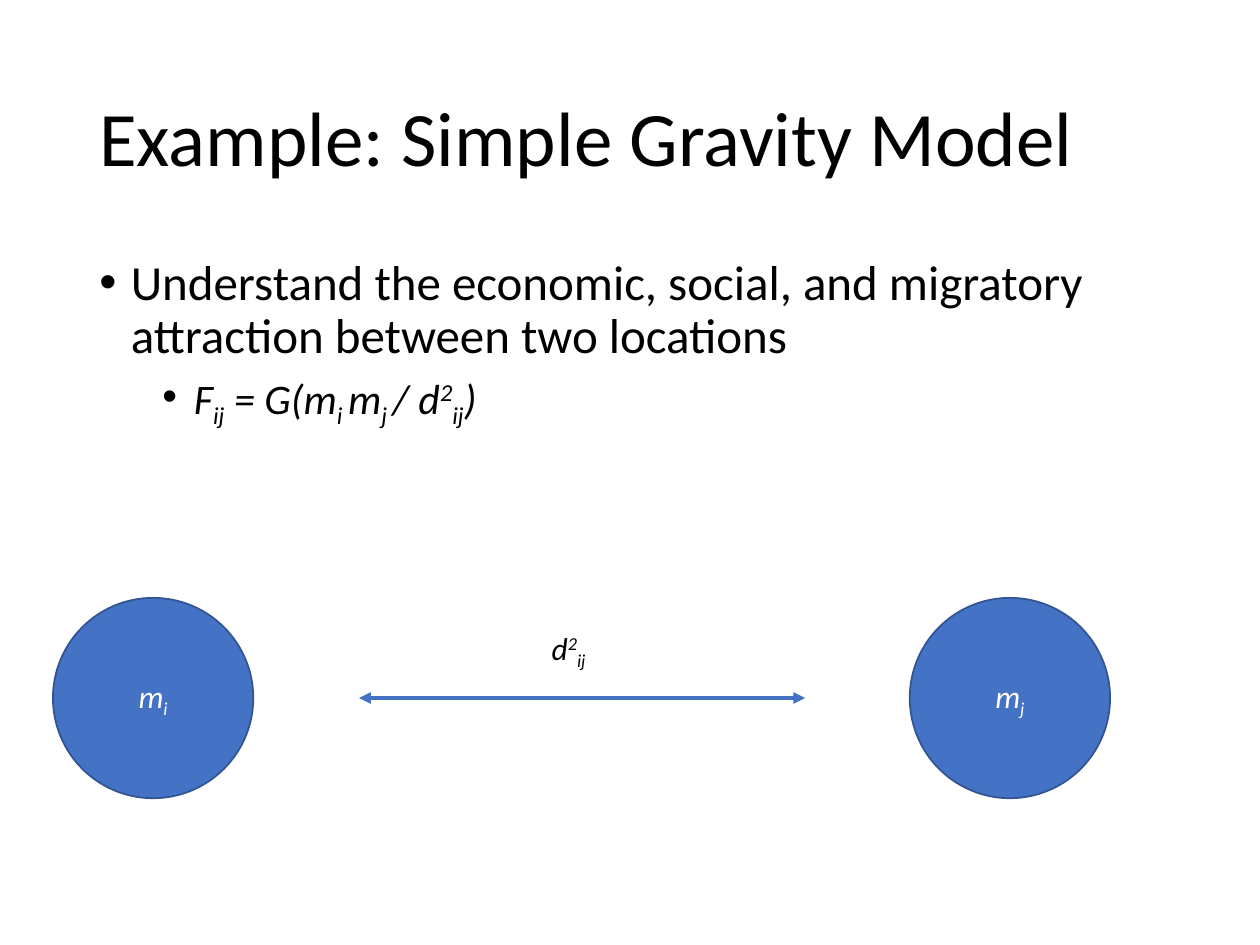
from lxml import etree
from pptx import Presentation
from pptx import util as u
from pptx.dml.color import RGBColor
from pptx.enum import shapes, text
from pptx.oxml.ns import qn

WIDTH, HEIGHT = u.Inches(10), u.Inches(7.5)
COLORS = {"ink": "000000", "paper": "FFFFFF", "accent": "4472C4", "edge": "325491"}
FONT = "Calibri"
BASELINES = {"normal": 0, "sub": -25000, "super": 30000}
MARGIN = 0.69
COLUMN = 8.62
DIAMETER = 1.59
AXIS = 5.54


def rgb(name):
    return RGBColor.from_string(COLORS[name])


def inches(*lengths):
    return [u.Inches(length) for length in lengths]


def write_spans(para, spans, size, color="ink", italic=False):
    for words, level in spans:
        span = para.add_run()
        span.text = words
        span.font.name = FONT
        span.font.size = u.Pt(size)
        span.font.italic = italic
        span.font.color.rgb = rgb(color)
        if level != "normal":
            span.font._element.set("baseline", str(BASELINES[level]))


def add_bullet(para, left, space):
    para.line_spacing = 0.9
    para.space_before = u.Pt(space)
    properties = para._p.get_or_add_pPr()
    properties.set("marL", str(u.Inches(left)))
    properties.set("indent", str(u.Inches(-0.25)))
    etree.SubElement(properties, qn("a:buFont"), typeface="Arial")
    etree.SubElement(properties, qn("a:buChar"), char="•")


def add_text(page, left, top, width, height, wrap=True):
    box = page.shapes.add_textbox(*inches(left, top, width, height))
    box.text_frame.word_wrap = wrap
    return box.text_frame


def add_title(page, words):
    frame = add_text(page, MARGIN, 0.4, COLUMN, 1.45)
    frame.vertical_anchor = text.MSO_ANCHOR.MIDDLE
    para = frame.paragraphs[0]
    para.line_spacing = 0.9
    write_spans(para, [(words, "normal")], 44)


def add_body(page, statement, formula):
    frame = add_text(page, MARGIN, 2, COLUMN, 4.76)
    para = frame.paragraphs[0]
    write_spans(para, [(statement, "normal")], 28)
    add_bullet(para, 0.25, 10)
    para = frame.add_paragraph()
    para.level = 1
    write_spans(para, formula, 24, italic=True)
    add_bullet(para, 0.75, 5)


def add_mass(page, left, index):
    place = inches(left, AXIS - DIAMETER / 2, DIAMETER, DIAMETER)
    mass = page.shapes.add_shape(shapes.MSO_SHAPE.OVAL, *place)
    mass.shadow.inherit = False
    mass.fill.solid()
    mass.fill.fore_color.rgb = rgb("accent")
    mass.line.color.rgb = rgb("edge")
    mass.line.width = u.Pt(1)
    mass.text_frame.vertical_anchor = text.MSO_ANCHOR.MIDDLE
    para = mass.text_frame.paragraphs[0]
    para.alignment = text.PP_ALIGN.CENTER
    write_spans(para, [("m", "normal"), (index, "sub")], 18, "paper", True)


def add_distance(page, start, end, label):
    place = inches(start, AXIS, end, AXIS)
    arrow = page.shapes.add_connector(shapes.MSO_CONNECTOR.STRAIGHT, *place)
    arrow.line.color.rgb = rgb("accent")
    arrow.line.width = u.Pt(2.25)
    outline = arrow.line._get_or_add_ln()
    for tip in ("a:headEnd", "a:tailEnd"):
        etree.SubElement(outline, qn(tip), type="triangle")
    etree.SubElement(arrow._element.spPr, qn("a:effectLst"))
    frame = add_text(page, 4.28, AXIS - 0.6, 0.5, 0.4, wrap=False)
    frame.auto_size = text.MSO_AUTO_SIZE.SHAPE_TO_FIT_TEXT
    write_spans(frame.paragraphs[0], label, 18, italic=True)


def main():
    deck = Presentation()
    deck.slide_width, deck.slide_height = WIDTH, HEIGHT
    page = deck.slides.add_slide(deck.slide_layouts[6])
    distance = [("d", "normal"), ("2", "super"), ("ij", "sub")]
    formula = [
        ("F", "normal"), ("ij", "sub"), (" = G(m", "normal"), ("i ", "sub"),
        ("m", "normal"), ("j ", "sub"), ("/ ", "normal"),
        *distance, (")", "normal"),
    ]
    add_title(page, "Example: Simple Gravity Model")
    add_body(
        page,
        "Understand the economic, social, and migratory attraction between two locations",
        formula,
    )
    for left, index in ((0.42, "i"), (7.22, "j")):
        add_mass(page, left, index)
    add_distance(page, 2.85, 6.39, distance)
    deck.save("out.pptx")


if __name__ == "__main__":
    main()
